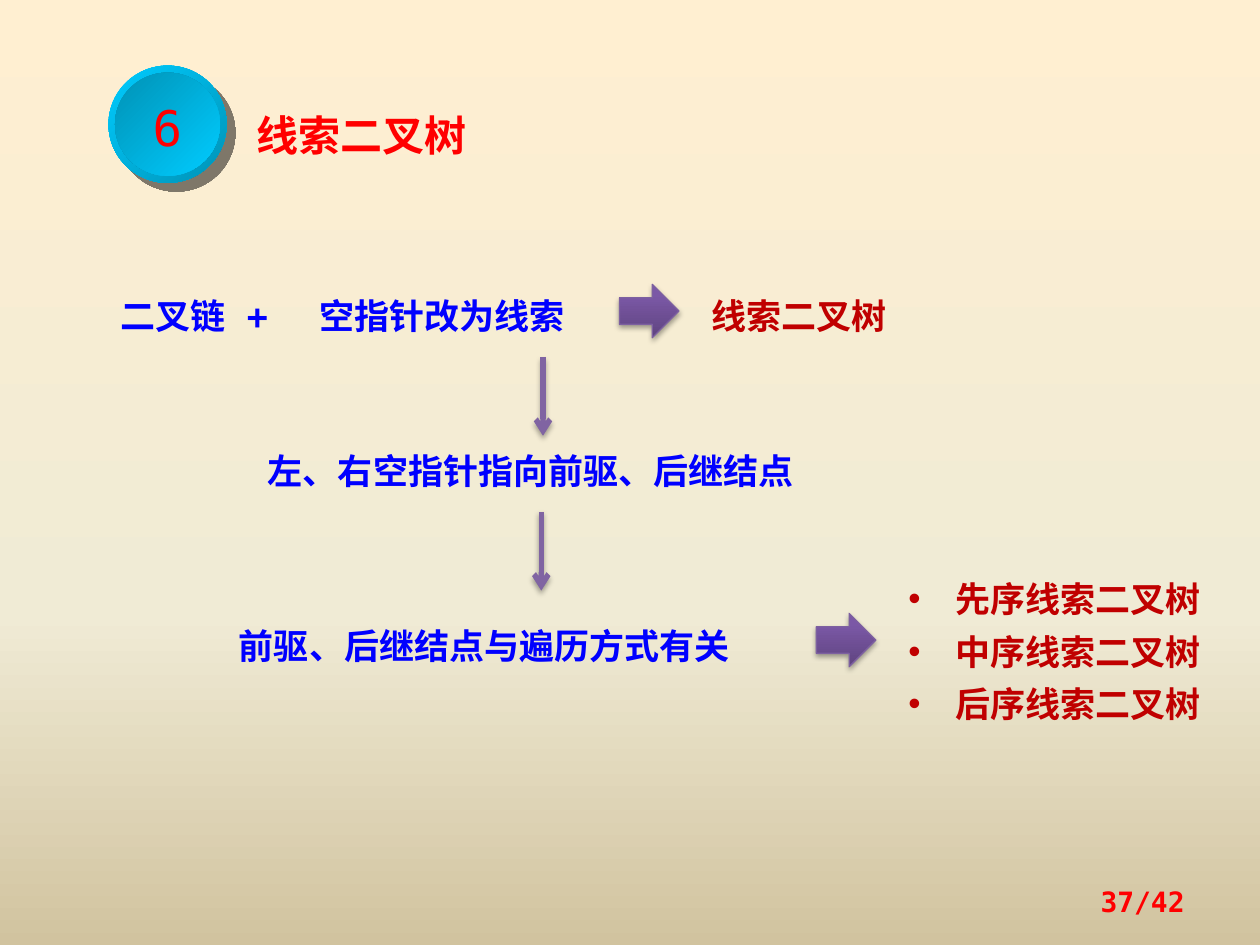
"""Build the slide that sums up threaded binary trees."""
import copy

import pptx
import pptx.dml.color
import pptx.enum.shapes
import pptx.enum.text
import pptx.oxml.ns
import pptx.util
from lxml import etree

Pt = pptx.util.Pt
qn = pptx.oxml.ns.qn
ALIGN = pptx.enum.text.PP_ALIGN
ANCHOR = pptx.enum.text.MSO_ANCHOR
SHAPES = pptx.enum.shapes.MSO_SHAPE

COLOURS = {
    "red": "FF0000", "blue": "0000FF", "result": "C00000",
    "sky": "FFEFD1", "cream": "F0EBD5", "sand": "D1C39F",
    "plum": "5F4480", "violet": "7B58A6", "lilac": "7C57A8",
    "edge": "7D60A0", "flow": "8064A2",
    "cyan": "00CCFF", "teal": "0092B6",
    "black": "000000", "ink": "020202",
}
MONO, CJK = "DejaVu Sans Mono", "Noto Sans CJK SC"
BODY_FONT = {"size": Pt(20), "bold": True, "name": MONO}
BODY_PARAGRAPH = {"line_spacing": Pt(30), "alignment": ALIGN.LEFT}
SOFT_SHADOW = ("black", 35, 3.1, 1.8, 90)
HARD_SHADOW = ("ink", 50, 0, 7.1, 45)


def rgb(colour):
    """Return a palette colour as an RGB value."""
    return pptx.dml.color.RGBColor.from_string(COLOURS[colour])


def apply(target, values):
    """Set each named attribute on the target."""
    for name, value in values.items():
        setattr(target, name, value)


def paint_gradient(fill, owner, stops, angle):
    """Fill with gradient stops running clockwise at the angle."""
    fill.gradient()
    fill.gradient_angle = 360 - angle
    stop_list = next(owner.iter(qn("a:gsLst")))
    template = copy.deepcopy(stop_list[0])
    for stop in list(stop_list):
        stop_list.remove(stop)
    for position, colour in stops:
        stop = copy.deepcopy(template)
        stop.set("pos", str(position * 1000))
        for child in list(stop):
            stop.remove(child)
        etree.SubElement(stop, qn("a:srgbClr"), val=COLOURS[colour])
        stop_list.append(stop)


def cast_shadow(properties, shadow=None):
    """Replace the theme shadow by the given one, or by none."""
    effects = etree.SubElement(properties, qn("a:effectLst"))
    if shadow:
        colour, alpha, blur, distance, angle = shadow
        outer = etree.SubElement(
            effects, qn("a:outerShdw"), blurRad=str(Pt(blur)),
            dist=str(Pt(distance)), dir=str(angle * 60000),
            algn="ctr", rotWithShape="0")
        tint = etree.SubElement(outer, qn("a:srgbClr"), val=COLOURS[colour])
        etree.SubElement(tint, qn("a:alpha"), val=str(alpha * 1000))


def write(paragraph, wording, colour, font=BODY_FONT, layout=BODY_PARAGRAPH):
    """Write one formatted run into a paragraph."""
    apply(paragraph, layout)
    run = paragraph.add_run()
    run.text = wording
    apply(run.font, font)
    run.font.color.rgb = rgb(colour)
    etree.SubElement(run.font._element, qn("a:ea"), typeface=CJK)


def add_text(slide, place, lines, colour, bullet=None, tabs=(), anchor=ANCHOR.TOP, **formats):
    """Add a text box with one paragraph per line."""
    frame = slide.shapes.add_textbox(*map(Pt, place)).text_frame
    apply(frame, {"word_wrap": True, "vertical_anchor": anchor})
    for index, wording in enumerate(lines):
        paragraph = frame.add_paragraph() if index else frame.paragraphs[0]
        properties = paragraph._p.get_or_add_pPr()
        if bullet:
            properties.set("marL", str(Pt(27)))
            properties.set("indent", str(-Pt(27)))
            etree.SubElement(properties, qn("a:buFont"), typeface="Arial")
            etree.SubElement(properties, qn("a:buChar"), char=bullet)
        if tabs:
            tab_list = etree.SubElement(properties, qn("a:tabLst"))
            for stop in tabs:
                etree.SubElement(tab_list, qn("a:tab"), pos=str(Pt(stop)), algn="l")
        write(paragraph, wording, colour, **formats)


def add_shape(slide, kind, place, stops, angle, edge=None, shadow=None):
    """Add a preset shape with a gradient fill."""
    shape = slide.shapes.add_shape(kind, *map(Pt, place))
    paint_gradient(shape.fill, shape._element.spPr, stops, angle)
    if edge:
        shape.line.color.rgb = rgb(edge)
        shape.line.width = Pt(0.75)
    else:
        shape.line.fill.background()
    cast_shadow(shape._element.spPr, shadow)
    return shape


def add_block_arrow(slide, left, top):
    """Add a block arrow that leads to a result."""
    add_shape(slide, SHAPES.RIGHT_ARROW, (left, top, 34, 30.5),
              [(0, "plum"), (80, "violet"), (100, "lilac")], 270, "edge", SOFT_SHADOW)


def add_flow_arrow(slide, x, top, length=45):
    """Add a thin downward arrow."""
    arrow = slide.shapes.add_connector(
        pptx.enum.shapes.MSO_CONNECTOR.STRAIGHT, Pt(x), Pt(top), Pt(x), Pt(top + length))
    arrow.line.color.rgb = rgb("flow")
    arrow.line.width = Pt(3)
    etree.SubElement(arrow.line._get_or_add_ln(), qn("a:tailEnd"), type="arrow")
    cast_shadow(arrow._element.spPr, SOFT_SHADOW)


def add_heading(slide, wording):
    """Place and format the slide title."""
    title = slide.shapes.title
    apply(title, dict(zip(("left", "top", "width", "height"), map(Pt, (129.6, 56, 214, 37)))))
    apply(title.text_frame, {
        "word_wrap": True, "vertical_anchor": ANCHOR.TOP, "margin_left": Pt(17),
        "margin_top": Pt(3.6), "margin_bottom": Pt(3.6),
        "auto_size": pptx.enum.text.MSO_AUTO_SIZE.NONE})
    write(title.text_frame.paragraphs[0], wording, "red",
          {"size": Pt(24), "bold": True, "name": CJK},
          {"line_spacing": 1.1, "alignment": ALIGN.LEFT, "space_before": Pt(0)})


def add_badge(slide, number):
    """Add the round section number."""
    add_shape(slide, SHAPES.OVAL, (62, 37.5, 67.5, 67),
              [(0, "cyan"), (100, "teal")], 45, shadow=HARD_SHADOW)
    face = add_shape(slide, SHAPES.OVAL, (65.7, 41.5, 60, 59),
                     [(0, "teal"), (100, "cyan")], 45)
    apply(face.text_frame, {"word_wrap": False, "vertical_anchor": ANCHOR.MIDDLE})
    write(face.text_frame.paragraphs[0], number, "red",
          {"size": Pt(28), "bold": False, "name": MONO},
          {"line_spacing": 1.1, "alignment": ALIGN.CENTER})


def main():
    """Build and save the slide."""
    deck = pptx.Presentation()
    apply(deck, {"slide_width": Pt(720), "slide_height": Pt(540)})
    slide = deck.slides.add_slide(deck.slide_layouts[5])
    paint_gradient(slide.background.fill, slide._element,
                   [(0, "sky"), (65, "cream"), (100, "sand")], 90)
    add_heading(slide, "线索二叉树")
    add_badge(slide, "6")

    add_text(slide, (62, 159, 298, 37.5), ["二叉链\t+\t空指针改为线索"], "blue", tabs=(72, 113.5))
    add_block_arrow(slide, 354, 162.5)
    add_text(slide, (399.5, 158.5, 146, 37.5), ["线索二叉树"], "result")

    add_flow_arrow(slide, 310.3, 204)
    add_text(slide, (146, 247.5, 354, 37.5), ["左、右空指针指向前驱、后继结点"], "blue")
    add_flow_arrow(slide, 309.3, 292.5)
    add_text(slide, (129.5, 347.5, 338, 37.5), ["前驱、后继结点与遍历方式有关"], "blue")

    add_block_arrow(slide, 466.5, 350.5)
    add_text(slide, (512, 320.5, 191.5, 98),
             [f"{order}序线索二叉树" for order in "先中后"], "result", bullet="•")
    add_text(slide, (516, 500.5, 168, 29), ["37/42"], "red", anchor=ANCHOR.MIDDLE,
             font={"size": Pt(16), "bold": True, "name": MONO},
             layout={"alignment": ALIGN.RIGHT})
    deck.save("out.pptx")


if __name__ == "__main__":
    main()
